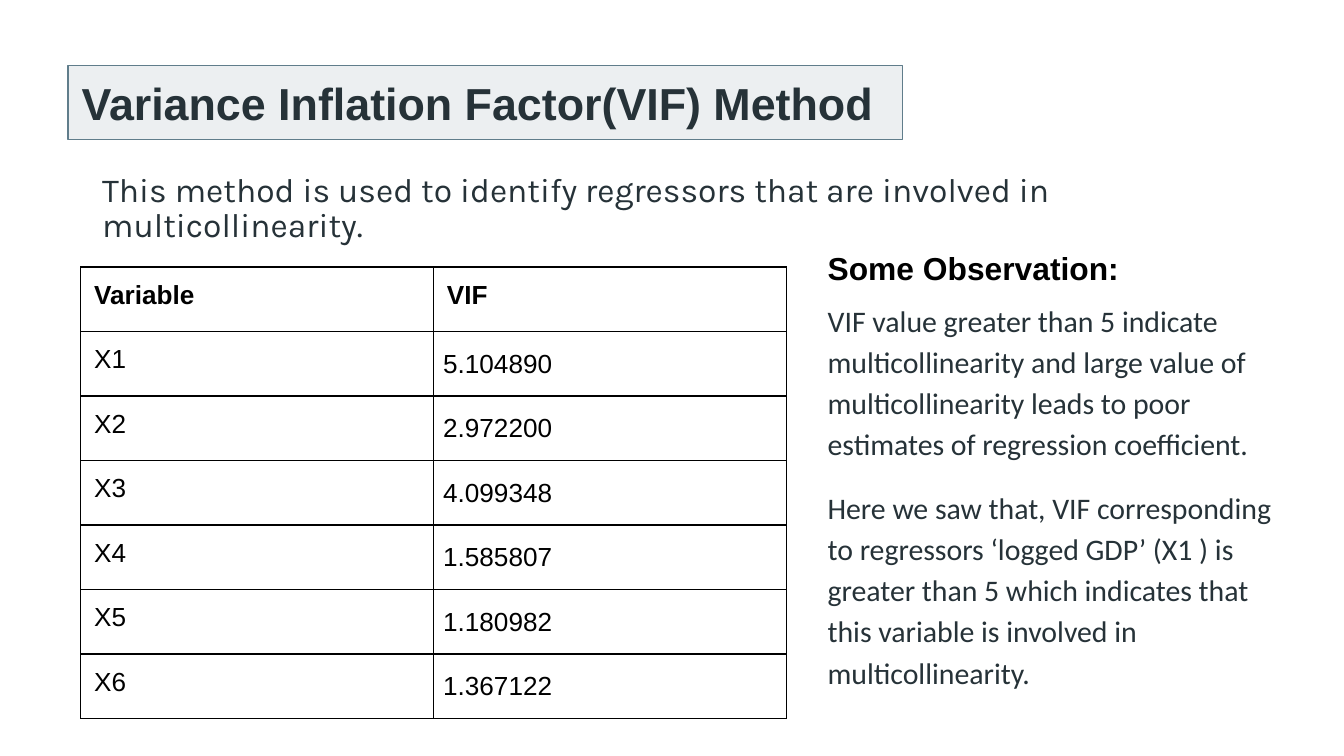
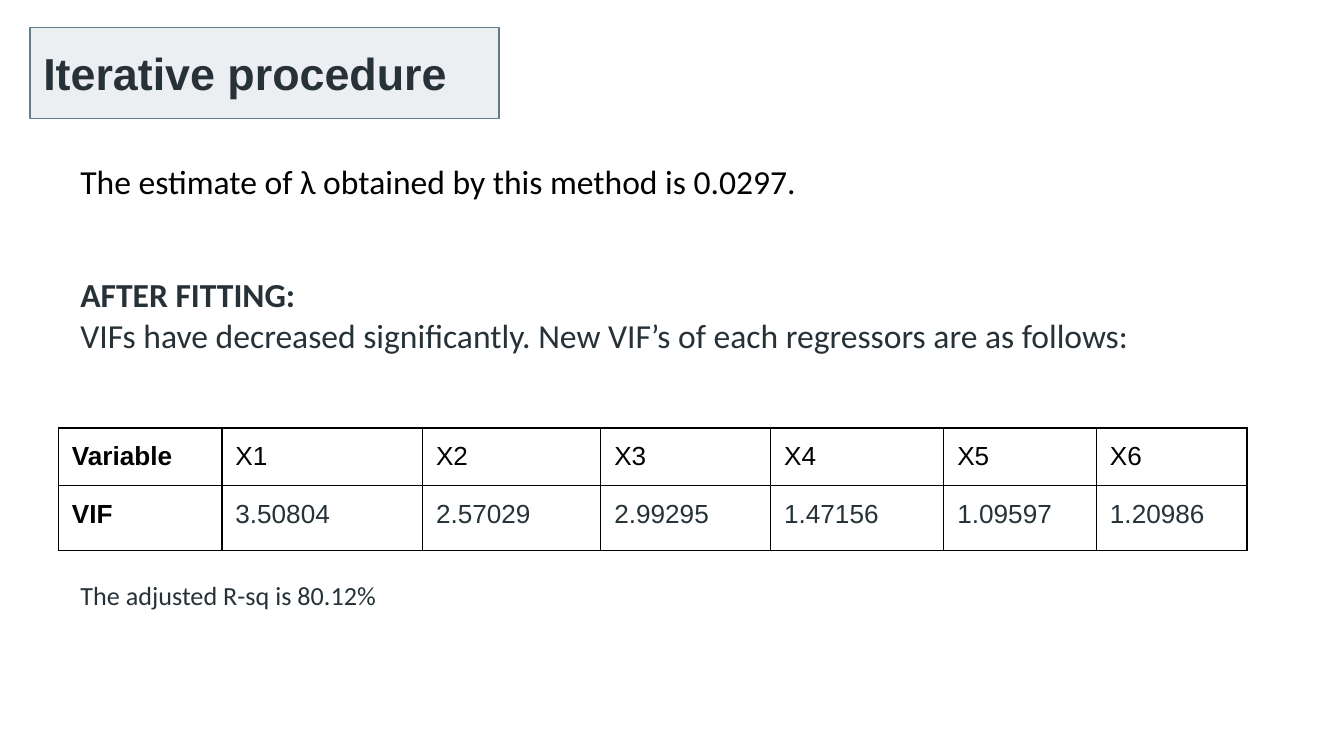
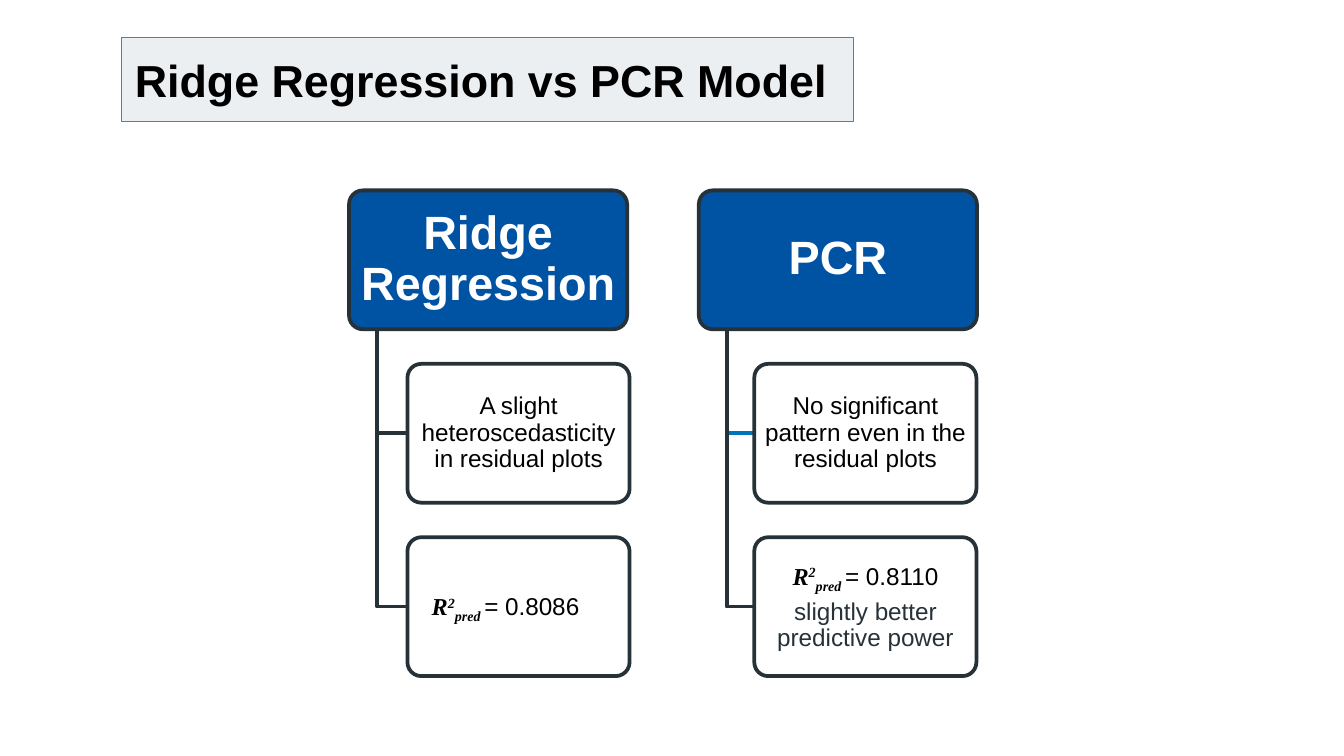
from pptx import Presentation
from pptx.dml.color import RGBColor
from pptx.enum import shapes, text
from pptx.oxml import parse_xml
from pptx.oxml import ns
from pptx.util import Pt

INK, BLACK, WHITE = "263238", "000000", "FFFFFF"
PANEL, PANEL_LINE = "ECEFF1", "607D8B"
BLUE, BRIGHT_BLUE = "0053A3", "0074BB"
NSDECL = ns.nsdecls("a")
INSET = 7.2
CENTER = text.PP_ALIGN.CENTER


# Shared helpers
def rgb(value):
    return RGBColor.from_string(value)


def place(sp, box):
    for name, value in zip(("left", "top", "width", "height"), box):
        setattr(sp, name, Pt(value))


def paint(sp, fill, line, weight):
    if fill:
        sp.fill.solid()
        sp.fill.fore_color.rgb = rgb(fill)
    else:
        sp.fill.background()
    sp.line.color.rgb = rgb(line)
    sp.line.width = Pt(weight)


def run(p, words, size, color=INK, font="Arial", base=0, **style):
    r = p.add_run()
    r.text = words
    r.font.color.rgb = rgb(color)
    for name, value in {"size": Pt(size), "name": font, "bold": False, **style}.items():
        setattr(r.font, name, value)
    if base:
        r._r.get_or_add_rPr().set("baseline", str(base * 1000))


def frame(sp, insets=(INSET,) * 4, anchor=text.MSO_ANCHOR.TOP):
    tf = sp.text_frame
    left, top, right, bottom = map(Pt, insets)
    options = {"word_wrap": True, "auto_size": text.MSO_AUTO_SIZE.NONE,
               "vertical_anchor": anchor, "margin_left": left, "margin_top": top,
               "margin_right": right, "margin_bottom": bottom}
    for name, value in options.items():
        setattr(tf, name, value)
    return tf


def paragraph(tf, first=False, indent=None, **layout):
    p = tf.paragraphs[0] if first else tf.add_paragraph()
    if indent is not None:
        pPr = p._p.get_or_add_pPr()
        pPr.set("marL", str(Pt(indent)))
        pPr.set("indent", "0")
        pPr.append(parse_xml(f"<a:buNone {NSDECL}/>"))
    for name, value in {"space_before": Pt(0), "alignment": text.PP_ALIGN.LEFT,
                        "line_spacing": 1.0, **layout}.items():
        setattr(p, name, value)
    return p


def title(s, box, words, color=INK, corner=0.167):
    sp = s.shapes.title
    place(sp, box)
    sp._element.spPr.insert(1, parse_xml(
        f'<a:prstGeom {NSDECL} prst="roundRect"><a:avLst>'
        f'<a:gd name="adj" fmla="val {round(corner * 100000)}"/></a:avLst></a:prstGeom>'))
    paint(sp, PANEL, PANEL_LINE, 0.75)
    p = paragraph(frame(sp, anchor=text.MSO_ANCHOR.MIDDLE), first=True)
    run(p, words, 24, color, bold=True)


def text_box(s, box):
    return frame(s.shapes.add_textbox(*map(Pt, box)))


def fill_cell(cell, words, side=INSET, spacing=1.0, **style):
    cell.fill.background()
    cell.margin_left = cell.margin_right = Pt(side)
    cell.margin_top = cell.margin_bottom = Pt(INSET)
    run(paragraph(cell.text_frame, first=True, line_spacing=spacing), words, 14, **style)
    tcPr = cell._tc.get_or_add_tcPr()
    for i, edge in enumerate(("lnL", "lnR", "lnT", "lnB")):
        tcPr.insert(i, parse_xml(
            f'<a:{edge} {NSDECL} w="{Pt(0.75)}"><a:solidFill>'
            f'<a:srgbClr val="{BLACK}"/></a:solidFill></a:{edge}>'))


def plain_table(s, left, top, widths, heights):
    box = map(Pt, (left, top, sum(widths), sum(heights)))
    table = s.shapes.add_table(len(heights), len(widths), *box).table
    table.first_row = table.horz_banding = False
    for column, width in zip(table.columns, widths):
        column.width = Pt(width)
    for row, height in zip(table.rows, heights):
        row.height = Pt(height)
    return table


# Slide 1: VIF table with observations
def vif_table(s, left, top):
    values = ("5.104890", "2.972200", "4.099348", "1.585807", "1.180982", "1.367122")
    table = plain_table(s, left, top, [189] * 2, [34.56] * (len(values) + 1))
    for column, heading in enumerate(("Variable", "VIF")):
        fill_cell(table.cell(0, column), heading, color=BLACK, bold=True)
    for i, value in enumerate(values, 1):
        fill_cell(table.cell(i, 0), f"X{i}", color=BLACK)
        fill_cell(table.cell(i, 1), value, side=5.2, spacing=1.15, color=BLACK)


def observations(s, left, top):
    p = paragraph(text_box(s, (left, top, 211, 35)), first=True)
    run(p, "Some Observation:", 17, BLACK, bold=True)
    tf = text_box(s, (left, top + 26, 264, 240))
    notes = (
        "VIF value greater than 5 indicate multicollinearity and large value of "
        "multicollinearity leads to poor estimates of regression coefficient.",
        "Here we saw that, VIF corresponding to regressors ‘logged GDP’ (X1 ) is greater "
        "than 5 which indicates that this variable is involved in multicollinearity.")
    for i, note in enumerate(notes):
        p = paragraph(tf, first=i == 0, line_spacing=1.15, space_before=Pt(12 * i))
        run(p, note, 16, font="Calibri")


def vif_slide(prs):
    s = prs.slides.add_slide(prs.slide_layouts[1])
    title(s, (36.5, 35.2, 447, 39.4), "Variance Inflation Factor(VIF) Method")
    body = s.placeholders[1]
    place(body, (36.7, 86.4, 634, 45))
    p = paragraph(frame(body), first=True, indent=10.8, line_spacing=0.87)
    run(p, "This method is used to identify regressors that are involved in "
           "multicollinearity.", 18, font="Karla")
    observations(s, 436.3, 126)
    vif_table(s, 43.2, 143)


# Slide 2: results after fitting
def fitted_table(s, left, top):
    values = ("3.50804", "2.57029", "2.99295", "1.47156", "1.09597", "1.20986")
    table = plain_table(s, left, top, (87.6, 107.5, 95.5, 91, 92.8, 81.8, 80.6), (31, 34.8))
    for row, heading in enumerate(("Variable", "VIF")):
        fill_cell(table.cell(row, 0), heading, color=BLACK, bold=True)
    for i, value in enumerate(values, 1):
        fill_cell(table.cell(0, i), f"X{i}", color=BLACK)
        fill_cell(table.cell(1, i), value)


def iterative_slide(prs):
    s = prs.slides.add_slide(prs.slide_layouts[1])
    title(s, (16, 14.6, 251.3, 49), "Iterative procedure", corner=0.232)
    body = s.placeholders[1]
    place(body, (20, 82.8, 659, 286))
    tf = frame(body, (INSET, 3.6, INSET, 3.6))
    lines = (  # words, size, colour, bold, space before
        ("The estimate of λ obtained by this method is 0.0297.", 18, BLACK, False, 0),
        ("AFTER FITTING:", 18, INK, True, 39),
        ("VIFs have decreased significantly. New VIF’s of each regressors are as follows:",
         18, INK, False, 0),
        ("The adjusted R-sq is 80.12%", 14, INK, False, 120))
    for i, (words, size, color, bold, gap) in enumerate(lines):
        p = paragraph(tf, first=i == 0, indent=15.84, space_before=Pt(gap))
        run(p, words, size, color, "Calibri", bold=bold)
    fitted_table(s, 31.3, 229.3)


# Slide 3: comparison trees
def round_box(s, box, fill, insets):
    sp = s.shapes.add_shape(shapes.MSO_SHAPE.ROUNDED_RECTANGLE, *map(Pt, box))
    sp.shadow.inherit = False
    sp.adjustments[0] = 0.1
    paint(sp, fill, INK, 2)
    return frame(sp, insets, text.MSO_ANCHOR.MIDDLE)


def elbow(s, x, top, end_x, end_y, color):
    builder = s.shapes.build_freeform(Pt(x), Pt(top))
    builder.add_line_segments([(Pt(x), Pt(end_y)), (Pt(end_x), Pt(end_y))], close=False)
    sp = builder.convert_to_shape()
    sp.shadow.inherit = False
    paint(sp, None, color, 2)


def r_squared(p, value):
    for words, base in (("R", 0), ("2", 30), ("pred ", -25)):
        run(p, words, 13, BLACK, "Times New Roman", base, bold=True, italic=True)
    run(p, f"= {value}", 13, BLACK)


def model_tree(s, left, top, name, finding, value, card_x, branch_color,
               verdict=None, extra_right=0):
    height, step, card_width = 74.4, 92.9, 119
    centred = {"alignment": CENTER, "line_spacing": 0.9}
    tf = round_box(s, (left, top, 149, height), BLUE, (3.4, 2.2, 3.4, 2.2))
    run(paragraph(tf, first=True, **centred), name, 25, WHITE, bold=True)
    cards = []
    for i, (color, right) in enumerate(((branch_color, 0), (INK, extra_right)), 1):
        y = top + i * step
        elbow(s, left + 15, top + height, left + card_x, y + height / 2, color)
        cards.append(round_box(s, (left + card_x, y, card_width, height), WHITE,
                               (2.2, 1.4, 2.2 + right, 1.4)))
    run(paragraph(cards[0], first=True, **centred), finding, 13, BLACK)
    r_squared(paragraph(cards[1], first=True, **centred), value)
    if verdict:
        run(paragraph(cards[1], space_before=Pt(4.5), **centred), verdict, 13)


def comparison_slide(prs):
    s = prs.slides.add_slide(prs.slide_layouts[5])
    title(s, (65, 20.2, 392.2, 45), "Ridge Regression vs PCR Model", BLACK)
    model_tree(s, 187, 102, "Ridge Regression",
               "A slight heteroscedasticity in residual plots", "0.8086",
               31.3, INK, extra_right=14)
    model_tree(s, 374.4, 102, "PCR",
               "No significant pattern even in the residual plots", "0.8110",
               29.7, BRIGHT_BLUE, verdict="slightly better predictive power")


def main():
    prs = Presentation()
    prs.slide_width, prs.slide_height = Pt(720), Pt(405)
    for build in (vif_slide, iterative_slide, comparison_slide):
        build(prs)
    prs.save("out.pptx")


if __name__ == "__main__":
    main()
